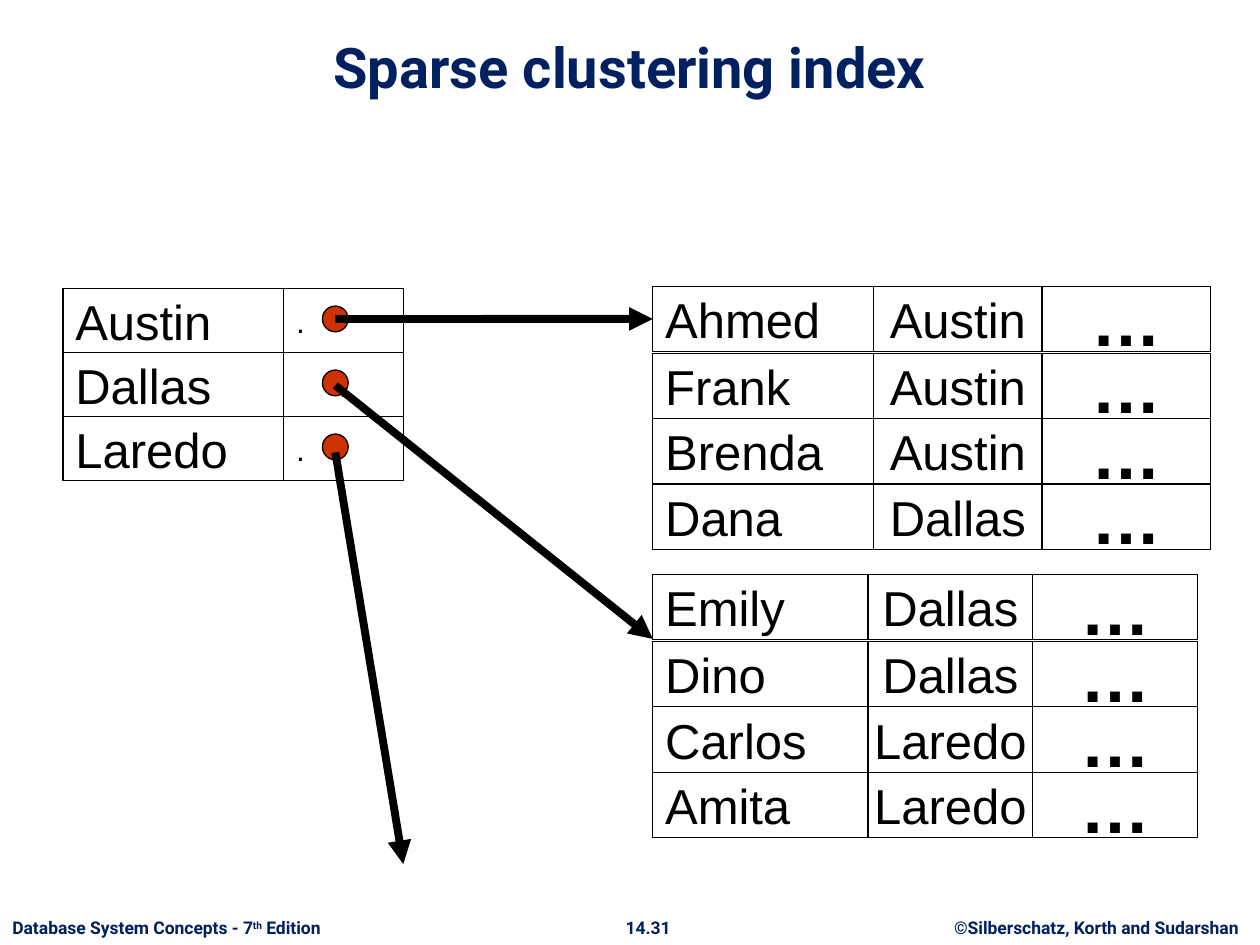
from lxml import etree
from pptx import Presentation
from pptx import util as u
from pptx.dml.color import RGBColor
from pptx.enum import shapes, text
from pptx.oxml.ns import qn

Cm, Pt = u.Cm, u.Pt
LEFT, CENTER = text.PP_ALIGN.LEFT, text.PP_ALIGN.CENTER
NAVY, BLACK, WHITE, RED = "002060", "000000", "FFFFFF", "CC3300"


def add_text(sp, runs, size, font, color, bold=False, align=LEFT, wrap=False):
    """Fill a shape with one paragraph; runs holds (text, is_superscript) pairs."""
    tf = sp.text_frame
    tf.word_wrap = wrap
    tf.vertical_anchor = text.MSO_ANCHOR.MIDDLE
    p = tf.paragraphs[0]
    p.alignment = align
    for words, raised in runs:
        r = p.add_run()
        r.text = words
        r.font.size, r.font.name, r.font.bold = Pt(size), font, bold
        r.font.color.rgb = RGBColor.from_string(color)
        if raised:
            r.font._element.set("baseline", "30000")


def add_outlined(parent, kind, x, y, w, h, fill):
    sp = parent.shapes.add_shape(kind, Cm(x), Cm(y), Cm(w), Cm(h))
    sp.shadow.inherit = False
    sp.fill.solid()
    sp.fill.fore_color.rgb = RGBColor.from_string(fill)
    sp.line.color.rgb = RGBColor.from_string(BLACK)
    sp.line.width = Pt(0.75)
    return sp


prs = Presentation()
prs.slide_width, prs.slide_height = Cm(25.4), Cm(19.05)
s = prs.slides.add_slide(prs.slide_layouts[6])
rect, oval = shapes.MSO_SHAPE.RECTANGLE, shapes.MSO_SHAPE.OVAL

# Footer
footers = [
    (18.8, 6.6, CENTER, [("©Silberschatz, Korth and Sudarshan", False)]),
    (12.34, 1.45, CENTER, [("14.31", False)]),
    (0, 7.14, LEFT, [("Database System Concepts - 7", False), ("th", True), (" Edition", False)]),
]
for x, w, align, runs in footers:
    tb = s.shapes.add_textbox(Cm(x), Cm(18.36), Cm(w), Cm(0.69))
    add_text(tb, runs, 10, "Roboto", NAVY, True, align)

# Title
title = s.shapes.add_textbox(Cm(1.27), Cm(0.53), Cm(22.86), Cm(1.6))
add_text(title, [("Sparse clustering index", False)], 32, "Roboto", NAVY, True, CENTER, True)
title.text_frame.vertical_anchor = text.MSO_ANCHOR.BOTTOM

# Data blocks: name, city, other fields
blocks = [
    (5.77, 4.45, 3.4, [("Ahmed", "Austin"), ("Frank", "Austin"),
                       ("Brenda", "Austin"), ("Dana", "Dallas")]),
    (11.58, 4.34, 3.32, [("Emily", "Dallas"), ("Dino", "Dallas"),
                         ("Carlos", "Laredo"), ("Amita", "Laredo")]),
]
block_left, row_h, first_gap = 13.16, 1.32, 0.03
first_cells = []
for top, name_w, col_w, records in blocks:
    block = s.shapes.add_group_shape()
    for i, (name, city) in enumerate(records):
        y = top + i * row_h + (first_gap if i else 0)
        name_cell = add_outlined(block, rect, block_left, y, name_w, row_h, WHITE)
        add_text(name_cell, [(name, False)], 28, "Arial", BLACK)
        city_cell = add_outlined(block, rect, block_left + name_w, y, col_w, row_h, WHITE)
        add_text(city_cell, [(city, False)], 28, "Arial", BLACK, align=CENTER)
        rest_cell = add_outlined(block, rect, block_left + name_w + col_w, y, col_w, row_h, WHITE)
        add_text(rest_cell, [("…", False)], 40, "Arial", BLACK, True, CENTER)
        if i == 0:
            first_cells.append(name_cell)

# Index entries: search key and pointer
for i, (key, align) in enumerate([("Austin", LEFT), ("Dallas", CENTER), ("Laredo", LEFT)]):
    y = 5.82 + i * 1.29
    entry = s.shapes.add_group_shape()
    key_cell = add_outlined(entry, rect, 1.27, y, 4.45, 1.29, WHITE)
    add_text(key_cell, [(key, False)], 28, "Arial", BLACK)
    pointer_cell = add_outlined(entry, rect, 5.72, y, 2.41, 1.29, WHITE)
    add_text(pointer_cell, [(".", False)], 18, "Arial", BLACK, align=align)
    add_outlined(s, oval, 6.5, y + 0.35, 0.52, 0.52, RED)

# Pointer arrows
arrows = [(6.43, 13.16, 6.43, first_cells[0]), (7.77, 13.16, 12.88, None), (9.12, 8.13, 17.42, None)]
for y1, x2, y2, target in arrows:
    c = s.shapes.add_connector(shapes.MSO_CONNECTOR.STRAIGHT, Cm(6.76), Cm(y1), Cm(x2), Cm(y2))
    if target is not None:
        c.end_connect(target, 1)
    c.line.color.rgb = RGBColor.from_string(BLACK)
    c.line.width = Pt(4.5)
    etree.SubElement(c.line._get_or_add_ln(), qn("a:tailEnd"), type="triangle")
    etree.SubElement(c._element.spPr, qn("a:effectLst"))

prs.save("out.pptx")
